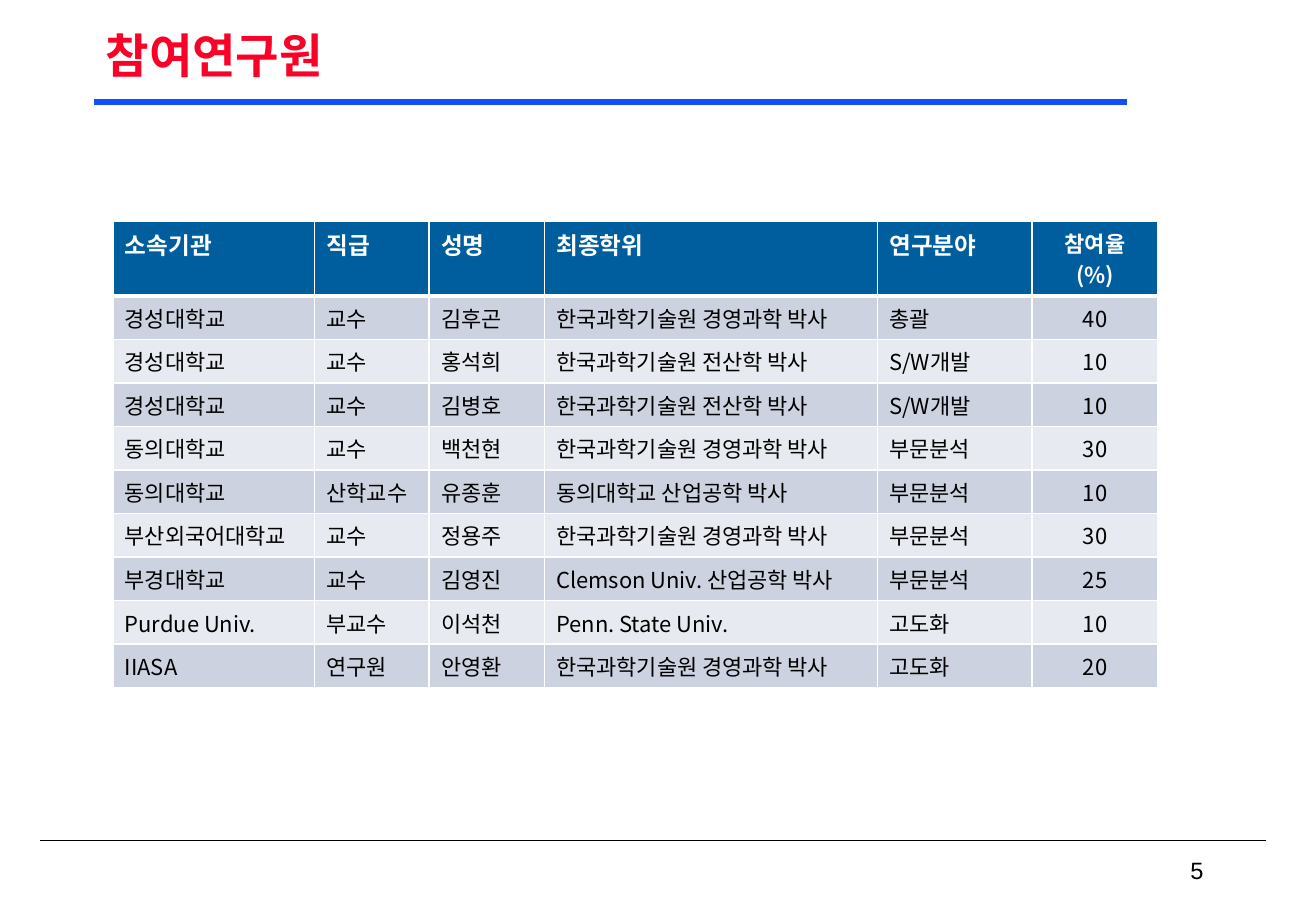
from dataclasses import dataclass

from pptx import Presentation
from pptx.dml.color import RGBColor
from pptx.enum.shapes import MSO_CONNECTOR
from pptx.enum.text import MSO_ANCHOR, PP_ALIGN
from pptx.oxml.ns import qn
from pptx.slide import Slide
from pptx.table import _Cell
from pptx.text.text import _Paragraph
from pptx.util import Cm, Pt
from lxml import etree

LEFT, MID, RIGHT = PP_ALIGN.LEFT, PP_ALIGN.CENTER, PP_ALIGN.RIGHT
JUST = PP_ALIGN.JUSTIFY
CENTRE = MSO_ANCHOR.MIDDLE
STRAIGHT = MSO_CONNECTOR.STRAIGHT


@dataclass(frozen=True)
class Theme:
    latin: str = "Arial"
    hangul: str = "Noto Sans CJK KR"
    red: str = "FC0128"
    blue: str = "114FFB"
    navy: str = "005D9E"
    dark: str = "CCD2DF"
    light: str = "E7EAF0"
    black: str = "000000"
    white: str = "FFFFFF"
    title: int = 28
    head: int = 14
    body: int = 13
    page: int = 14
    thin: int = 1
    thick: int = 3


THEME = Theme()


@dataclass(frozen=True)
class Style:
    size: int
    color: str
    font: str
    bold: bool = False
    align: PP_ALIGN = LEFT


@dataclass(frozen=True)
class Rule:
    start: float
    end: float
    top: float
    color: str
    width: float


@dataclass(frozen=True)
class Label:
    text: str
    left: float
    top: float
    width: float
    height: float
    style: Style
    space: float = 1.0


@dataclass(frozen=True)
class Column:
    name: str
    width: float
    size: int = THEME.head
    align: PP_ALIGN = LEFT
    inset: float = 0.25


RULES = (
    Rule(26.47, 0.84, 17.58, THEME.black, 1),
    Rule(1.96, 23.55, 2.13, THEME.blue, 3.75),
)

LABELS = (
    Label("참여연구원", 1.96, 0.43, 23.6, 1.57,
          Style(THEME.title, THEME.red, THEME.latin, True, JUST), 0.9),
    Label("5", 19.69, 17.78, 5.72, 0.84,
          Style(THEME.page, THEME.black, THEME.latin, align=RIGHT)),
)

COLUMNS = (
    Column("소속기관", 4.22),
    Column("직급", 2.39),
    Column("성명", 2.41),
    Column("최종학위", 6.96),
    Column("연구분야", 3.23),
    Column("참여율(%)", 2.64, THEME.body, MID, 0.32),
)

MEMBERS = (
    ("경성대학교", "교수", "김후곤", "한국과학기술원 경영과학 박사", "총괄", "40"),
    ("경성대학교", "교수", "홍석희", "한국과학기술원 전산학 박사", "S/W개발", "10"),
    ("경성대학교", "교수", "김병호", "한국과학기술원 전산학 박사", "S/W개발", "10"),
    ("동의대학교", "교수", "백천현", "한국과학기술원 경영과학 박사", "부문분석", "30"),
    ("동의대학교", "산학교수", "유종훈", "동의대학교 산업공학 박사", "부문분석", "10"),
    ("부산외국어대학교", "교수", "정용주", "한국과학기술원 경영과학 박사", "부문분석", "30"),
    ("부경대학교", "교수", "김영진", "Clemson Univ. 산업공학 박사", "부문분석", "25"),
    ("Purdue Univ.", "부교수", "이석천", "Penn. State Univ.", "고도화", "10"),
    ("IIASA", "연구원", "안영환", "한국과학기술원 경영과학 박사", "고도화", "20"),
)

TABLE_LEFT, TABLE_TOP = 2.36, 4.62
HEAD_ROW, BODY_ROW = 1.57, 0.91


def write(para: _Paragraph, text: str, style: Style) -> None:
    para.alignment = style.align
    run = para.add_run()
    run.text = text
    font = run.font
    font.size = Pt(style.size)
    font.bold = style.bold
    font.color.rgb = RGBColor.from_string(style.color)
    font.name = style.font
    # Hangul takes its font from the East Asian slot
    east = etree.SubElement(font._element, qn("a:ea"))
    east.set("typeface", THEME.hangul)


def draw_rule(slide: Slide, rule: Rule) -> None:
    line = slide.shapes.add_connector(
        STRAIGHT, Cm(rule.start), Cm(rule.top), Cm(rule.end), Cm(rule.top))
    line.line.color.rgb = RGBColor.from_string(rule.color)
    line.line.width = Pt(rule.width)
    etree.SubElement(line._element.spPr, qn("a:effectLst"))


def draw_label(slide: Slide, label: Label) -> None:
    box = slide.shapes.add_textbox(
        Cm(label.left), Cm(label.top), Cm(label.width), Cm(label.height))
    frame = box.text_frame
    frame.word_wrap = True
    frame.vertical_anchor = CENTRE
    para = frame.paragraphs[0]
    para.line_spacing = label.space
    write(para, label.text, label.style)


def add_edge(cell: _Cell, side: str, width: int) -> None:
    props = cell._tc.get_or_add_tcPr()
    edge = etree.SubElement(props, qn(f"a:ln{side}"), w=str(Pt(width)))
    fill = etree.SubElement(edge, qn("a:solidFill"))
    etree.SubElement(fill, qn("a:srgbClr"), val=THEME.white)


def draw_cell(cell: _Cell, text: str, row: int, col: Column) -> None:
    # A thick edge parts the header from the body
    top = THEME.thick if row == 1 else THEME.thin
    base = THEME.thick if row == 0 else THEME.thin
    for side, width in zip("LRTB", (THEME.thin, THEME.thin, top, base)):
        add_edge(cell, side, width)

    if row == 0:
        shade = THEME.navy
        style = Style(col.size, THEME.white, THEME.hangul, True, col.align)
    else:
        shade = THEME.dark if row % 2 else THEME.light
        style = Style(THEME.body, THEME.black, THEME.hangul, align=col.align)
    cell.fill.solid()
    cell.fill.fore_color.rgb = RGBColor.from_string(shade)
    cell.margin_left = cell.margin_right = Cm(col.inset)
    write(cell.text_frame.paragraphs[0], text, style)


def draw_table(slide: Slide) -> None:
    rows = (tuple(col.name for col in COLUMNS), *MEMBERS)
    width = sum(col.width for col in COLUMNS)
    height = HEAD_ROW + BODY_ROW * len(MEMBERS)
    table = slide.shapes.add_table(
        len(rows), len(COLUMNS), Cm(TABLE_LEFT), Cm(TABLE_TOP),
        Cm(width), Cm(height)).table
    for index, col in enumerate(COLUMNS):
        table.columns[index].width = Cm(col.width)
    for row, texts in enumerate(rows):
        table.rows[row].height = Cm(BODY_ROW if row else HEAD_ROW)
        for index, (text, col) in enumerate(zip(texts, COLUMNS)):
            draw_cell(table.cell(row, index), text, row, col)


def main() -> None:
    deck = Presentation()
    deck.slide_width, deck.slide_height = Cm(27.51), Cm(19.05)
    slide = deck.slides.add_slide(deck.slide_layouts[6])
    # Rules, then title and page number, then the member table
    for rule in RULES:
        draw_rule(slide, rule)
    for label in LABELS:
        draw_label(slide, label)
    draw_table(slide)
    deck.save("out.pptx")


if __name__ == "__main__":
    main()
